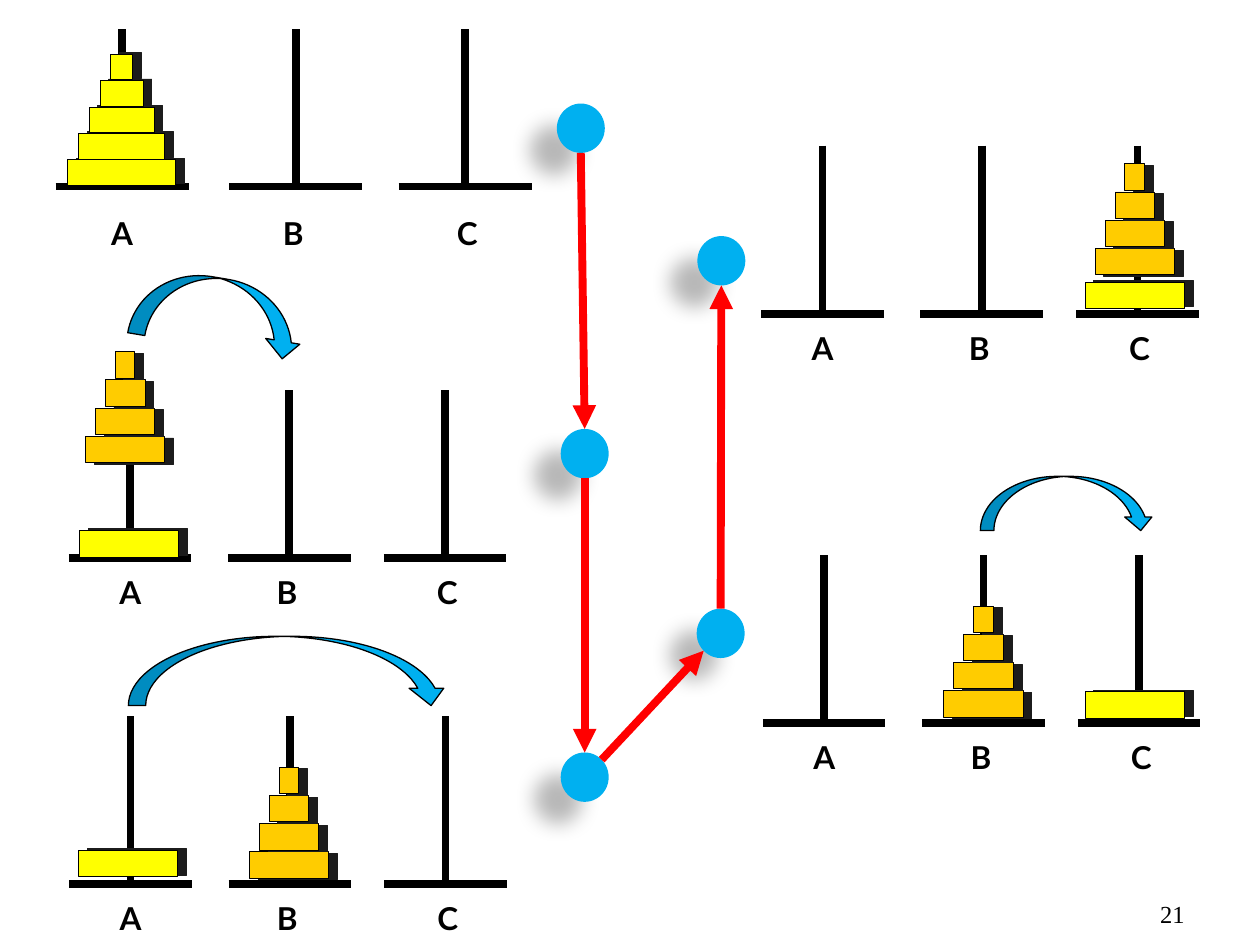
from math import cos, radians, sin

from lxml.etree import SubElement
from pptx import Presentation
from pptx.dml.color import RGBColor
from pptx.enum.shapes import MSO_CONNECTOR, MSO_SHAPE
from pptx.enum.text import MSO_ANCHOR, PP_ALIGN
from pptx.oxml.ns import qn
from pptx.util import Pt

BLACK = RGBColor(0x00, 0x00, 0x00)
YELLOW = RGBColor(0xFF, 0xFF, 0x00)
ORANGE = RGBColor(0xFF, 0xCC, 0x00)
BLUE = RGBColor(0x00, 0xB0, 0xF0)
RED = RGBColor(0xFF, 0x00, 0x00)
CHARCOAL = RGBColor(0x1C, 0x1C, 0x1C)

PEG_OFFSETS = (0, 91, 180)
NODE_WIDTH, NODE_HEIGHT = 27.4, 28.2


def add_shadow(shape, colour, opacity, blur, distance, angle):
    effects = shape._element.spPr.find(qn("a:effectLst"))
    shadow = SubElement(effects, qn("a:outerShdw"), {
        "blurRad": str(Pt(blur)), "dist": str(Pt(distance)),
        "dir": str(angle * 60000), "algn": "ctr", "rotWithShape": "0"})
    tint = SubElement(shadow, qn("a:srgbClr"), val=str(colour))
    SubElement(tint, qn("a:alpha"), val=str(opacity * 1000))


def add_filled(page, kind, left, top, width, height, fill, outline=None):
    shape = page.shapes.add_shape(kind, Pt(left), Pt(top), Pt(width), Pt(height))
    shape.shadow.inherit = False
    shape.fill.solid()
    shape.fill.fore_color.rgb = fill
    if outline:
        shape.line.color.rgb = BLACK
        shape.line.width = Pt(outline)
    else:
        shape.line.fill.background()
    return shape


def add_line(page, start, end, colour=BLACK, arrow=False):
    line = page.shapes.add_connector(
        MSO_CONNECTOR.STRAIGHT, Pt(start[0]), Pt(start[1]), Pt(end[0]), Pt(end[1]))
    line.line.color.rgb = colour
    line.line.width = Pt(4.5)
    if arrow:
        SubElement(line.line._ln, qn("a:tailEnd"), type="triangle")
    SubElement(line._element.spPr, qn("a:effectLst"))


def add_text(page, left, top, width, height, text, font, size,
             align=PP_ALIGN.CENTER, anchor=MSO_ANCHOR.MIDDLE, bold=False, margin=0):
    box = page.shapes.add_textbox(Pt(left), Pt(top), Pt(width), Pt(height))
    frame = box.text_frame
    frame.word_wrap = True
    frame.vertical_anchor = anchor
    frame.margin_left = frame.margin_right = Pt(margin)
    frame.margin_top = frame.margin_bottom = Pt(margin / 2)
    para = frame.paragraphs[0]
    para.alignment = align
    span = para.add_run()
    span.text = text
    span.font.name = font
    span.font.size = Pt(size)
    span.font.bold = bold
    span.font.color.rgb = BLACK


def add_pegs(page, left, base, offsets=PEG_OFFSETS, height=96, foot=70, label_drop=19.3):
    """Three pegs with feet and letters; left is the x of peg A."""
    for letter, offset, nudge in zip("ABC", offsets, (0, -1.5, 1.2)):
        peg = left + offset
        add_line(page, (peg - foot / 2, base), (peg + foot / 2, base))
        add_line(page, (peg, base - height), (peg, base))
        add_text(page, peg + nudge - 12, base + label_drop - 12, 24, 24,
                 letter, "Lato", 18, bold=True)


def add_stack(page, centre, bottom, sizes, colour, angle,
              unit=11.35, height=15.1, pitch=16.1):
    """Disks from the widest up; a disk's width is its size times unit."""
    for level, size in enumerate(sizes):
        width = size * unit
        disk = add_filled(page, MSO_SHAPE.RECTANGLE, centre - width / 2,
                          bottom - height - level * pitch, width, height, colour, 0.5)
        add_shadow(disk, CHARCOAL, 100, 0, 5.1, angle)


def add_start(page, left, base):
    """Full tower on peg A."""
    add_pegs(page, left, base, (0, 99.2, 196), 90, 76, 26.7)
    add_stack(page, left - 0.3, base - 0.6, (5, 4, 3, 2, 1), YELLOW, 349, 12.35, 14.6, 15.1)


def add_step(page, left, base, small, large):
    """Pegs with the four small disks and the large one, each at (dx, dy)."""
    add_pegs(page, left, base)
    add_stack(page, left + small[0], base + small[1], (4, 3, 2, 1), ORANGE, 11)
    add_stack(page, left + large[0], base + large[1], (5,), YELLOW, 349)


def add_move(page, left, top, width, height, turn=0):
    arrow = add_filled(page, MSO_SHAPE.CURVED_DOWN_ARROW,
                       left, top, width, height, BLUE, 0.75)
    arrow.rotation = turn


def add_flow(page, centres, links):
    """Dots joined by red arrows; a link leaves and arrives at given angles."""
    for x, y in centres:
        dot = add_filled(page, MSO_SHAPE.FLOWCHART_CONNECTOR, x - NODE_WIDTH / 2,
                         y - NODE_HEIGHT / 2, NODE_WIDTH, NODE_HEIGHT, BLUE)
        add_shadow(dot, BLACK, 28, 11.8, 19.7, 141)

    def edge(centre, angle):
        return (centre[0] + NODE_WIDTH / 2 * cos(radians(angle)),
                centre[1] + NODE_HEIGHT / 2 * sin(radians(angle)))

    for start, end, (leave, arrive) in zip(centres, centres[1:], links):
        add_line(page, edge(start, leave), edge(end, arrive), RED, arrow=True)


def main():
    deck = Presentation()
    deck.slide_width, deck.slide_height = Pt(720), Pt(540)
    page = deck.slides.add_slide(deck.slide_layouts[6])

    # Left column: start, then the first two moves
    add_start(page, 69.8, 106.6)
    add_step(page, 74.4, 319, (-2.9, -54.6), (-0.5, -0.7))
    add_step(page, 74.6, 505.4, (90.6, -3.6), (-1.4, -4.3))

    # Right column: finished tower above the last move
    add_step(page, 470, 179.3, (178.5, -22.3), (178.5, -3))
    add_step(page, 471, 413.3, (91, -3.6), (177.5, -2.9))

    # Curved arrows showing each move
    add_move(page, 75.6, 159.1, 99.4, 39.6, 9.6)
    add_move(page, 73.4, 363.6, 182.9, 39.6)
    add_move(page, 560.2, 272.2, 99.4, 31)

    # Order of the steps
    add_flow(page,
             [(331.9, 73.3), (334.1, 259.2), (334.1, 444.1), (411.8, 361.9), (412.2, 149)],
             [(90, 270), (90, 270), (315, 135), (270, 90)])

    # Slide number
    add_text(page, 534.2, 498.2, 149.8, 36, "21", "Times New Roman", 14,
             PP_ALIGN.RIGHT, MSO_ANCHOR.BOTTOM, margin=7.2)

    deck.save("out.pptx")


if __name__ == "__main__":
    main()
